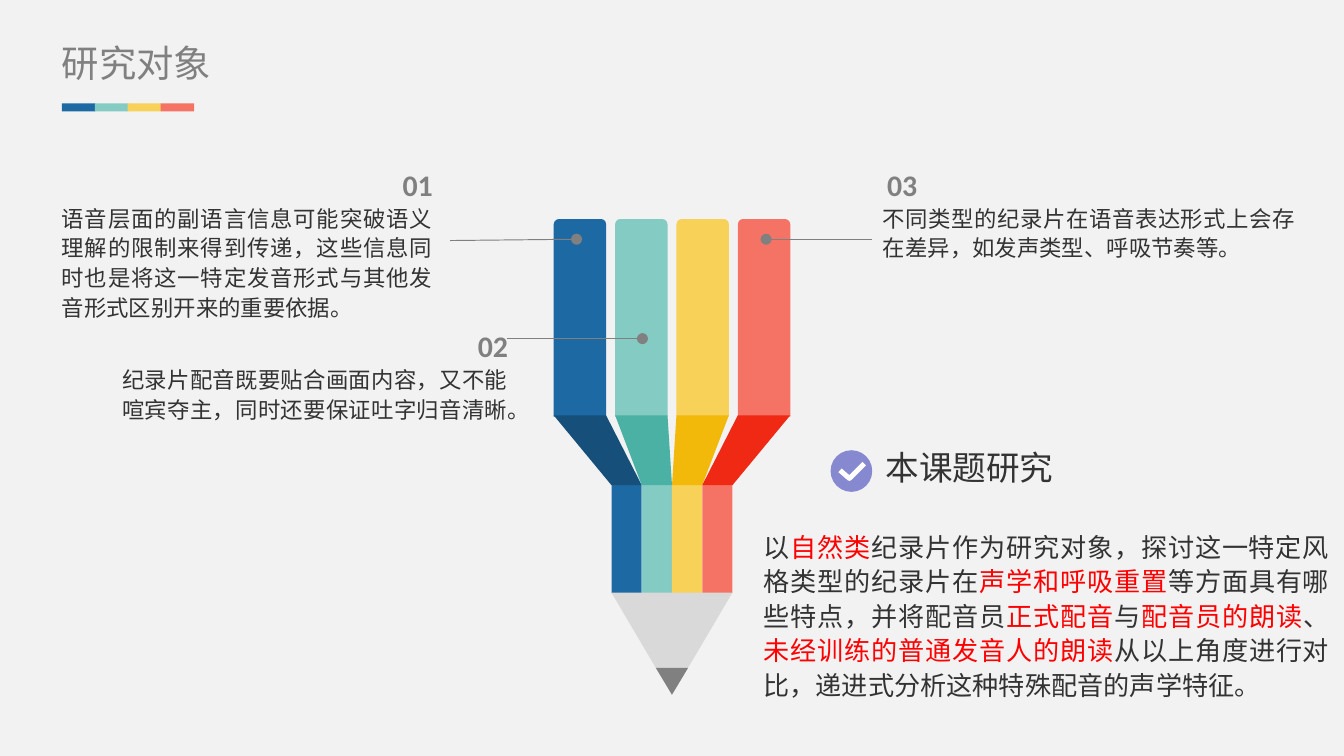
from pptx import Presentation, util as u
from pptx.dml.color import RGBColor
from pptx.enum import shapes as kinds, text as t
from pptx.oxml.ns import qn
from lxml import etree

BLUE, TEAL = RGBColor(0x1D, 0x69, 0xA3), RGBColor(0x84, 0xCB, 0xC3)
YELLOW, CORAL = RGBColor(0xF8, 0xD1, 0x58), RGBColor(0xF5, 0x73, 0x65)
DARK_BLUE, DARK_TEAL = RGBColor(0x16, 0x4F, 0x7A), RGBColor(0x4B, 0xB1, 0xA5)
DARK_YELLOW, DARK_RED = RGBColor(0xF2, 0xB9, 0x0A), RGBColor(0xF0, 0x29, 0x14)
BACKGROUND, WOOD = RGBColor(0xF2, 0xF2, 0xF2), RGBColor(0xD9, 0xD9, 0xD9)
GREY, INK = RGBColor(0x80, 0x80, 0x80), RGBColor(0x33, 0x33, 0x33)
RED, VIOLET = RGBColor(0xFF, 0, 0), RGBColor(0x86, 0x89, 0xD0)
WHITE = RGBColor(0xFF, 0xFF, 0xFF)
LATIN, HAN = "Calibri", "Noto Sans CJK SC"
LEFT, RIGHT, JUSTIFY = t.PP_ALIGN.LEFT, t.PP_ALIGN.RIGHT, t.PP_ALIGN.JUSTIFY

# Content
TITLE = "研究对象"
CHECK_LABEL = "本课题研究"
NOTES = [  # number as (text, size) parts, alignment, box, text
    ([(" 01", 16)], RIGHT, (0.46, 1.24, 2.76, 1.14),
     "语音层面的副语言信息可能突破语义理解的限制来得到传递，这些信息同时也是将这一特定发音形式与其他发音形式区别开来的重要依据。"),
    ([(" 02", 16)], RIGHT, (0.91, 2.44, 2.87, 0.7),
     "纪录片配音既要贴合画面内容，又不能喧宾夺主，同时还要保证吐字归音清晰。"),
    ([(" ", 10), ("03", 16)], LEFT, (6.57, 1.24, 3.07, 0.7),
     "不同类型的纪录片在语音表达形式上会存在差异，如发声类型、呼吸节奏等。"),
]
SUMMARY = [  # plain and highlighted parts alternate
    "以", "自然类", "纪录片作为研究对象，探讨这一特定风格类型的纪录片在", "声学和呼吸重置",
    "等方面具有哪些特点，并将配音员", "正式配音", "与", "配音员的朗读", "、",
    "未经训练的普通发音人的朗读", "从以上角度进行对比，递进式分析这种特殊配音的声学特征。",
]
LEADERS = [((3.35, 1.79), (4.29, 1.78)), ((6.49, 1.78), (5.7, 1.78)),
           ((3.77, 2.52), (4.78, 2.52))]  # each ends in a dot
COLORS = [BLUE, TEAL, YELLOW, CORAL]
FOLD_COLORS = [DARK_BLUE, DARK_TEAL, DARK_YELLOW, DARK_RED]

# Pencil geometry
BAR_LEFT, BAR_WIDTH, BAR_PITCH = 4.12, 0.39, 1.37 / 3
CORE_LEFT, CORE_WIDTH = 4.55, 0.9 / 4
BAR_TOP, FOLD_TOP, CORE_TOP, CORE_END = 1.63, 3.09, 3.61, 4.41
LEAD_TOP, LEAD_END = 4.97, 5.17

presentation = Presentation()
presentation.slide_width = u.Inches(10)
presentation.slide_height = u.Inches(10 * 9 / 16)
slide = presentation.slides.add_slide(presentation.slide_layouts[6])
slide.background.fill.solid()
slide.background.fill.fore_color.rgb = BACKGROUND


def inches(values):
    return [u.Inches(value) for value in values]


def paint(shape, color):
    shape.shadow.inherit = False
    shape.fill.solid()
    shape.fill.fore_color.rgb = color
    shape.line.fill.background()
    return shape


def add_preset(kind, box, color):
    return paint(slide.shapes.add_shape(kind, *inches(box)), color)


def add_outline(points, color, close=True):
    points = [inches(point) for point in points]
    builder = slide.shapes.build_freeform(*points[0])
    builder.add_line_segments(points[1:], close=close)
    return paint(builder.convert_to_shape(), color)


def add_text(box, paragraphs, inset=0):
    """Each paragraph is (format, runs); each run is (text, font, size, color, bold)."""
    frame = slide.shapes.add_textbox(*inches(box)).text_frame
    frame.word_wrap = True
    frame.auto_size = t.MSO_AUTO_SIZE.SHAPE_TO_FIT_TEXT
    for side, margin in zip(("left", "top", "right", "bottom"), (inset, inset / 2) * 2):
        setattr(frame, "margin_" + side, u.Inches(margin))
    for index, (formats, runs) in enumerate(paragraphs):
        paragraph = frame.add_paragraph() if index else frame.paragraphs[0]
        for name, value in formats.items():
            setattr(paragraph, name, value)
        for words, font, size, color, bold in runs:
            run = paragraph.add_run()
            run.text = words
            for name, value in {"name": font, "size": u.Pt(size), "bold": bold}.items():
                setattr(run.font, name, value)
            run.font.color.rgb = color
            etree.SubElement(run.font._element, qn("a:ea"), typeface=HAN)


# Pencil: bars, then cores, folds, wood and lead
for index, color in enumerate(COLORS):
    bar = add_preset(kinds.MSO_SHAPE.ROUND_2_SAME_RECTANGLE,
                     (BAR_LEFT + index * BAR_PITCH, BAR_TOP, BAR_WIDTH, 1.47), color)
    bar.adjustments[0] = 0.1
for index, color in enumerate(COLORS):
    left = CORE_LEFT + index * CORE_WIDTH
    right = left + CORE_WIDTH
    add_outline([(left, CORE_TOP), (right, CORE_TOP), (right, CORE_END),
                 ((left + right) / 2, 4.52), (left, CORE_END)], color)
for index, color in enumerate(FOLD_COLORS):
    top, bottom = BAR_LEFT + index * BAR_PITCH, CORE_LEFT + index * CORE_WIDTH
    add_outline([(top, FOLD_TOP), (top + BAR_WIDTH, FOLD_TOP),
                 (bottom + CORE_WIDTH, CORE_TOP), (bottom, CORE_TOP)], color)
add_outline([(4.55, CORE_END), (5.45, CORE_END), (5.12, LEAD_TOP), (4.88, LEAD_TOP)], WOOD)
add_outline([(4.88, LEAD_TOP), (5.12, LEAD_TOP), (5, LEAD_END)], GREY)

# Check mark
add_preset(kinds.MSO_SHAPE.OVAL, (6.18, 3.35, 0.31, 0.31), VIOLET)
tick = add_outline([(6.25, 3.5), (6.32, 3.56), (6.43, 3.45)], VIOLET, close=False)
tick.line.color.rgb = WHITE
tick.line.width = u.Pt(2.63)

# Numbered notes
for number, alignment, box, words in NOTES:
    add_text(box, [
        ({"alignment": alignment},
         [(part, LATIN, size, GREY, True) for part, size in number]),
        ({"alignment": JUSTIFY, "line_spacing": 1.1}, [(words, HAN, 12, INK, False)]),
    ])

# Leader lines
for start, end in LEADERS:
    leader = slide.shapes.add_connector(kinds.MSO_CONNECTOR.STRAIGHT,
                                        *inches(start), *inches(end))
    leader.line.color.rgb = GREY
    leader.line.width = u.Pt(0.5)
    etree.SubElement(leader.line._get_or_add_ln(), qn("a:tailEnd"), type="oval")
    etree.SubElement(leader._element.spPr, qn("a:effectLst"))

# Summary
add_text((5.68, 3.93, 4.21, 1.26), [
    ({"alignment": JUSTIFY, "line_spacing": 1.1},
     [(words, HAN, 14, RED if index % 2 else INK, False)
      for index, words in enumerate(SUMMARY)])])

# Title with its colour strip
add_text((0.46, 0.3, 3.04, 0.34), [({}, [(TITLE, HAN, 20, GREY, False)])])
for index, color in enumerate(COLORS):
    add_preset(kinds.MSO_SHAPE.RECTANGLE, (0.46 + index * 0.245, 0.77, 0.25, 0.06), color)

# Check mark label
add_text((6.49, 3.28, 1.73, 0.4), [({}, [(CHECK_LABEL, LATIN, 18, INK, False)])], inset=0.1)

presentation.save("out.pptx")
